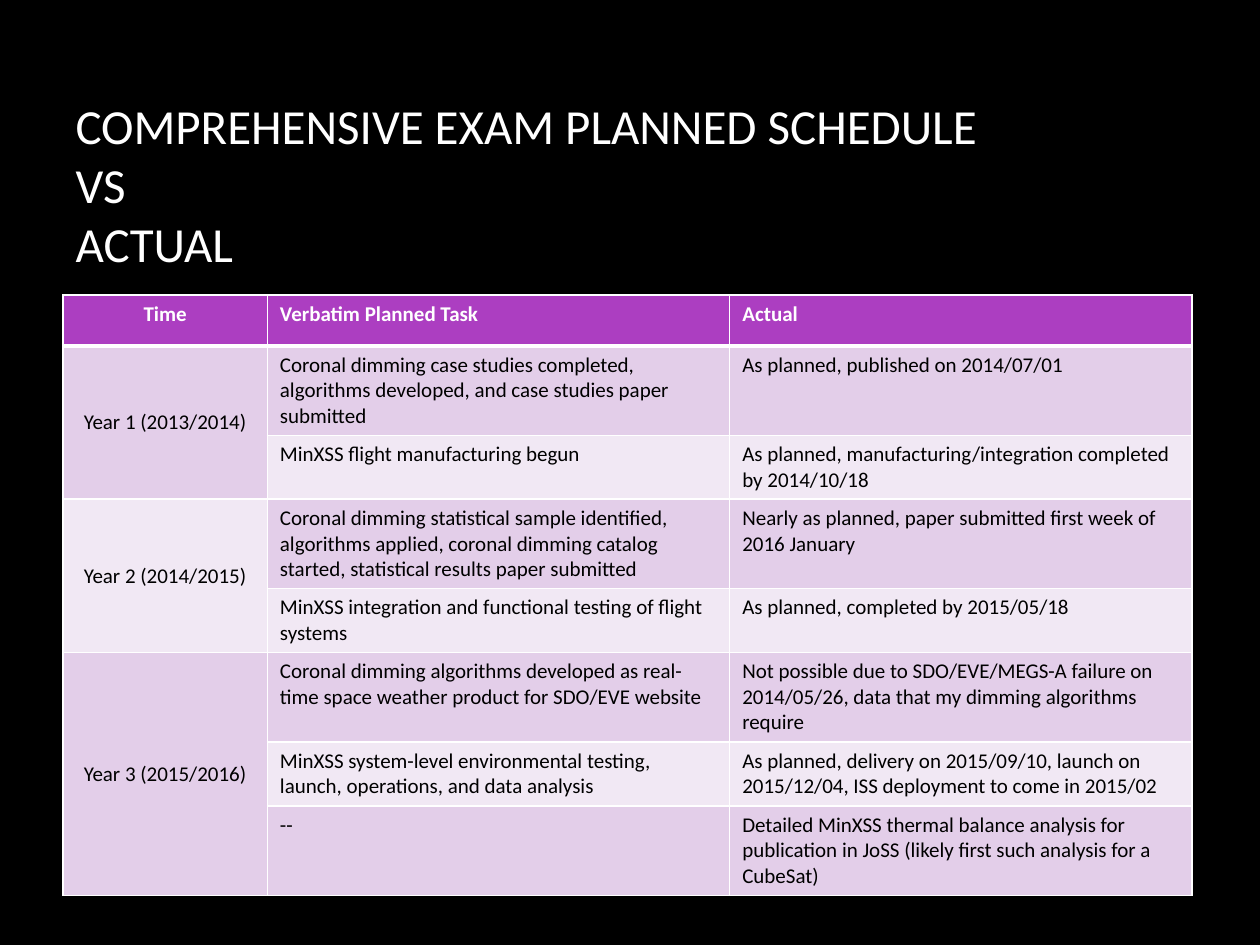
from dataclasses import dataclass

from lxml import etree
from pptx import Presentation
from pptx.dml.color import RGBColor
from pptx.enum.text import MSO_ANCHOR, MSO_AUTO_SIZE, PP_ALIGN
from pptx.oxml.ns import qn
from pptx.util import Pt

LEFT, CENTER = PP_ALIGN.LEFT, PP_ALIGN.CENTER
TOP, MIDDLE = MSO_ANCHOR.TOP, MSO_ANCHOR.MIDDLE
NO_AUTOFIT = MSO_AUTO_SIZE.NONE

FONT = "Calibri"
COLORS = {
    "background": "000000",
    "white": "FFFFFF",
    "text": "000000",
    "header": "AC3EC1",
    "dark_band": "E3CEE9",
    "light_band": "F1E8F4",
}
TITLE = "COMPREHENSIVE EXAM PLANNED SCHEDULE\vVS\vACTUAL"
HEADERS = ("Time", "Verbatim Planned Task", "Actual")
COLUMN_WIDTHS = (116.8, 264.2, 264.2)
ROW_HEIGHT = 29.2


@dataclass
class Task:
    """A planned task and what became of it."""
    planned: str
    actual: str


@dataclass
class Year:
    """A school year with its tasks."""
    label: str
    tasks: list[Task]


YEARS = [
    Year("Year 1 (2013/2014)", [
        Task("Coronal dimming case studies completed, algorithms developed, "
             "and case studies paper submitted",
             "As planned, published on 2014/07/01"),
        Task("MinXSS flight manufacturing begun",
             "As planned, manufacturing/integration completed by 2014/10/18"),
    ]),
    Year("Year 2 (2014/2015)", [
        Task("Coronal dimming statistical sample identified, algorithms applied, "
             "coronal dimming catalog started, statistical results paper submitted",
             "Nearly as planned, paper submitted first week of 2016 January"),
        Task("MinXSS integration and functional testing of flight systems",
             "As planned, completed by 2015/05/18"),
    ]),
    Year("Year 3 (2015/2016)", [
        Task("Coronal dimming algorithms developed as real-time space weather "
             "product for SDO/EVE website",
             "Not possible due to SDO/EVE/MEGS-A failure on 2014/05/26, "
             "data that my dimming algorithms require"),
        Task("MinXSS system-level environmental testing, launch, operations, "
             "and data analysis",
             "As planned, delivery on 2015/09/10, launch on 2015/12/04, "
             "ISS deployment to come in 2015/02"),
        Task("--",
             "Detailed MinXSS thermal balance analysis for publication in JoSS "
             "(likely first such analysis for a CubeSat)"),
    ]),
]


def rgb(name: str) -> RGBColor:
    """Look up a named colour."""
    return RGBColor.from_string(COLORS[name])


def format_text(tf, size: float, color: str, bold: bool = False, align=LEFT) -> None:
    """Format every run of a text frame."""
    for p in tf.paragraphs:
        p.alignment = align
        for r in p.runs:
            r.font.name = FONT
            r.font.size = Pt(size)
            r.font.bold = bold
            r.font.color.rgb = rgb(color)


def set_borders(cell, bottom: float = 1, top: float = 1) -> None:
    """Draw white borders, placed ahead of the cell fill."""
    tc_pr = cell._tc.get_or_add_tcPr()
    widths = {"a:lnL": 1, "a:lnR": 1, "a:lnT": top, "a:lnB": bottom}
    for i, (tag, width) in enumerate(widths.items()):
        ln = etree.Element(qn(tag), w=str(Pt(width)))
        fill = etree.SubElement(ln, qn("a:solidFill"))
        etree.SubElement(fill, qn("a:srgbClr"), val=COLORS["white"])
        tc_pr.insert(i, ln)


def fill_cell(cell, text: str, fill: str, align=LEFT, anchor=TOP,
              header: bool = False) -> None:
    """Write and format one table cell."""
    cell.text = text
    cell.vertical_anchor = anchor
    format_text(cell.text_frame, 12, "white" if header else "text", header, align)
    cell.fill.solid()
    cell.fill.fore_color.rgb = rgb(fill)


def add_title(slide) -> None:
    """Place and format the slide title."""
    sp = slide.shapes.title
    sp.left, sp.top, sp.width, sp.height = Pt(36), Pt(48), Pt(612), Pt(114.5)
    tf = sp.text_frame
    tf.text = TITLE
    tf.auto_size = NO_AUTOFIT
    tf.vertical_anchor = MIDDLE
    format_text(tf, 28, "white")


def add_schedule(slide) -> None:
    """Build the table of planned and actual tasks."""
    row_count = 1 + sum(len(year.tasks) for year in YEARS)
    table = slide.shapes.add_table(
        row_count, len(HEADERS), Pt(36), Pt(168.5),
        Pt(sum(COLUMN_WIDTHS)), Pt(ROW_HEIGHT * row_count)).table
    for column, width in zip(table.columns, COLUMN_WIDTHS):
        column.width = Pt(width)
    for row in table.rows:
        row.height = Pt(ROW_HEIGHT)

    bands = ("dark_band", "light_band")
    for col, text in enumerate(HEADERS):
        fill_cell(table.cell(0, col), text, "header",
                  CENTER if col == 0 else LEFT, header=True)
    row = 1
    for i, year in enumerate(YEARS):
        label = table.cell(row, 0)
        label.merge(table.cell(row + len(year.tasks) - 1, 0))
        fill_cell(label, year.label, bands[i % 2], CENTER, MIDDLE)
        for task in year.tasks:
            band = bands[(row - 1) % 2]
            fill_cell(table.cell(row, 1), task.planned, band)
            fill_cell(table.cell(row, 2), task.actual, band)
            row += 1
    for row in range(row_count):
        for col in range(len(HEADERS)):
            set_borders(table.cell(row, col), bottom=3 if row == 0 else 1,
                        top=3 if row == 1 else 1)


def main() -> None:
    """Create the presentation."""
    prs = Presentation()
    prs.slide_width, prs.slide_height = Pt(720), Pt(540)
    slide = prs.slides.add_slide(prs.slide_layouts[5])
    slide.background.fill.solid()
    slide.background.fill.fore_color.rgb = rgb("background")
    add_title(slide)
    add_schedule(slide)
    prs.save("out.pptx")


main()
